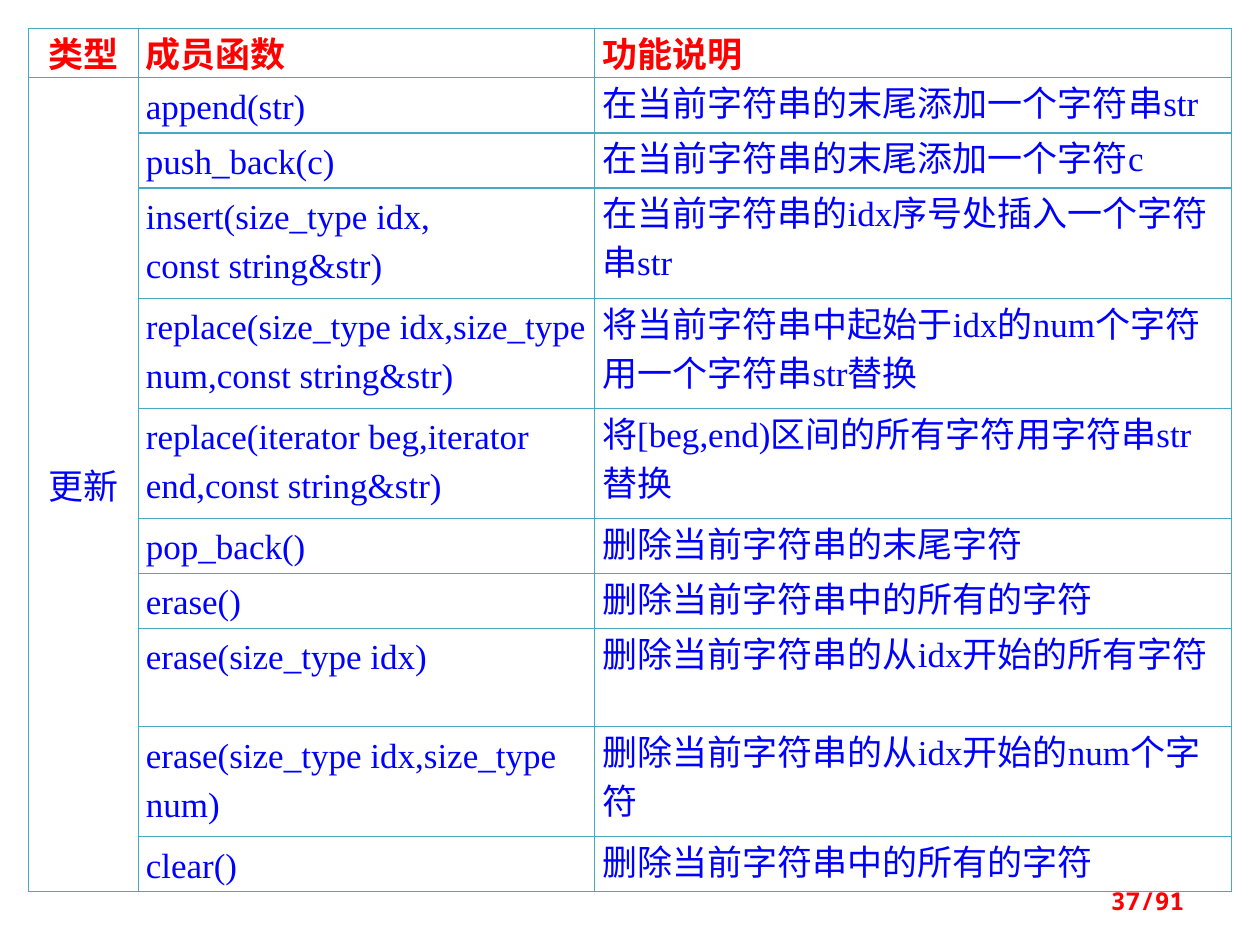
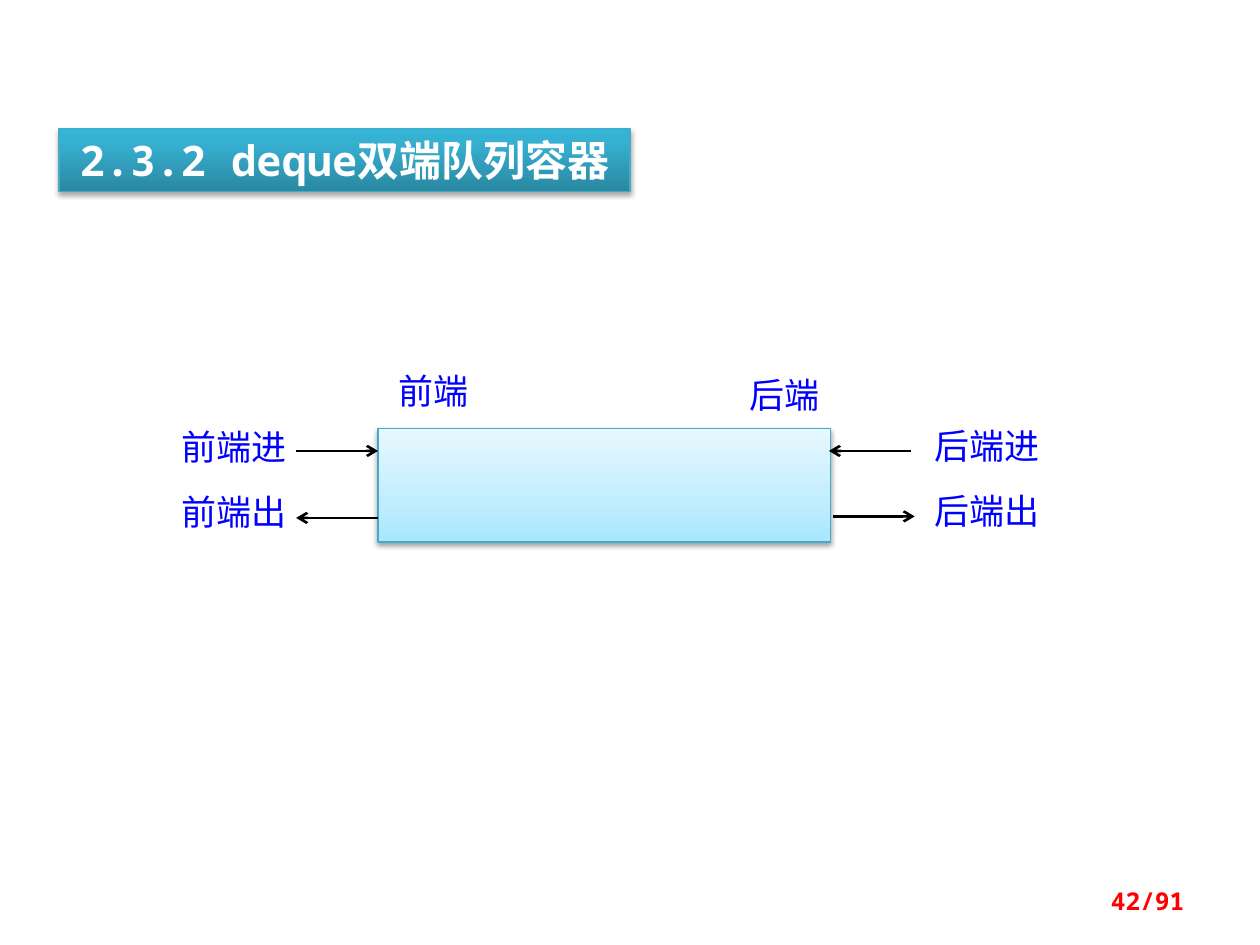
"""Build two slides on string update functions and the deque container."""
from lxml import etree
from pptx import Presentation
from pptx.dml.color import RGBColor
from pptx.enum.shapes import MSO_CONNECTOR, MSO_SHAPE
from pptx.enum.text import MSO_ANCHOR, PP_ALIGN
from pptx.oxml import parse_xml
from pptx.oxml.ns import nsdecls, qn
from pptx.util import Cm, Pt

LEFT, CENTER, RIGHT = PP_ALIGN.LEFT, PP_ALIGN.CENTER, PP_ALIGN.RIGHT
JUSTIFY = PP_ALIGN.JUSTIFY
TOP, MIDDLE = MSO_ANCHOR.TOP, MSO_ANCHOR.MIDDLE
RECT, STRAIGHT = MSO_SHAPE.RECTANGLE, MSO_CONNECTOR.STRAIGHT

SERIF, MONO = "Times New Roman", "Noto Sans Mono"
RED, BLUE, WHITE, BLACK, TEAL = "FF0000", "0000FF", "FFFFFF", "000000", "46AAC5"
TITLE_STOPS = [(0, "2A88A2"), (80, "37B1D2"), (100, "34B4D6")]
QUEUE_STOPS = [(0, "A7E6FF"), (35, "C1EDFF"), (100, "E7F8FF")]
PAGE_TOTAL = 91

HEADERS = ["类型", "成员函数", "功能说明"]
CATEGORY = "更新"
COL_WIDTHS = [2.21, 9.2, 12.83]
HEADER_H, ROW_H = 0.99, 1.11
FUNCTIONS = [
    ("append(str)", "在当前字符串的末尾添加一个字符串str", 1),
    ("push_back(c)", "在当前字符串的末尾添加一个字符c", 1),
    ("insert(size_type idx,\nconst string&str)",
     "在当前字符串的idx序号处插入一个字符串str", 2),
    ("replace(size_type idx,size_type num,const string&str)",
     "将当前字符串中起始于idx的num个字符用一个字符串str替换", 2),
    ("replace(iterator beg,iterator end,const string&str)",
     "将[beg,end)区间的所有字符用字符串str替换", 2),
    ("pop_back()", "删除当前字符串的末尾字符", 1),
    ("erase()", "删除当前字符串中的所有的字符", 1),
    ("erase(size_type idx)", "删除当前字符串的从idx开始的所有字符", 1),
    ("erase(size_type idx,size_type num)",
     "删除当前字符串的从idx开始的num个字符", 2),
    ("clear()", "删除当前字符串中的所有的字符", 1),
]

LABELS = [
    ("前端", 7.54, 7.54, 2.39, 1.09),
    ("后端", 14.78, 7.62, 2.08, 0.91),
    ("前端进", 3.58, 8.66, 2.26, 1.14),
    ("前端出", 3.58, 9.98, 2.26, 1.14),
    ("后端进", 18.77, 8.64, 2.26, 1.14),
    ("后端出", 18.77, 9.96, 2.26, 1.14),
]
ARROWS = [
    (5.97, 7.62, 9.09),
    (7.62, 5.97, 10.44),
    (16.79, 18.44, 10.41),
    (18.36, 16.71, 9.09),
]


def rgb(color):
    """Turn a hex string into a colour."""
    return RGBColor.from_string(color)


def write(tf, text, size=20, font=SERIF, color=BLUE, bold=False, align=LEFT, spacing=None):
    """Write text, one paragraph a line, in one format."""
    for i, line in enumerate(text.split("\n")):
        p = tf.add_paragraph() if i else tf.paragraphs[0]
        p.alignment = align
        p.space_before = Pt(0)
        if spacing:
            p.line_spacing = Pt(spacing)
        r = p.add_run()
        r.text = line
        r.font.size, r.font.name, r.font.bold = Pt(size), font, bold
        r.font.color.rgb = rgb(color)


def style_panel(sp, stops, alpha, distance):
    """Give a shape an upward gradient, a teal line and a soft shadow."""
    sp.line.color.rgb = rgb(TEAL)
    sp.line.width = Pt(0.75)
    sp.fill.background()
    sp_pr = sp._element.spPr
    gs = "".join(f'<a:gs pos="{pos * 1000}"><a:srgbClr val="{color}"/></a:gs>'
                 for pos, color in stops)
    grad = parse_xml(f'<a:gradFill {nsdecls("a")} rotWithShape="1"><a:gsLst>{gs}</a:gsLst>'
                     '<a:lin ang="16200000" scaled="0"/></a:gradFill>')
    sp_pr.replace(sp_pr.find(qn("a:noFill")), grad)
    sp.shadow.inherit = False
    sp_pr.find(qn("a:effectLst")).append(parse_xml(
        f'<a:outerShdw {nsdecls("a")} blurRad="{Pt(3.1)}" dist="{Pt(distance)}" dir="5400000" '
        f'rotWithShape="0"><a:srgbClr val="{BLACK}"><a:alpha val="{alpha * 1000}"/>'
        '</a:srgbClr></a:outerShdw>'))


def add_page_number(slide, number):
    """Put the page count at the lower right."""
    sp = slide.shapes.add_textbox(Cm(18.21), Cm(17.65), Cm(5.92), Cm(1.02))
    tf = sp.text_frame
    tf.word_wrap = True
    tf.vertical_anchor = MIDDLE
    write(tf, f"{number}/{PAGE_TOTAL}", size=14, font=MONO, color=RED, bold=True, align=RIGHT)


def set_title(slide, text):
    """Turn the title placeholder into a gradient band."""
    sp = slide.shapes.title
    sp.left, sp.top, sp.width, sp.height = Cm(1.19), Cm(2.59), Cm(11.51), Cm(1.27)
    style_panel(sp, TITLE_STOPS, alpha=35, distance=1.8)
    tf = sp.text_frame
    tf.word_wrap = False
    tf.vertical_anchor = MIDDLE
    write(tf, text, size=24, font=MONO, color=WHITE, bold=True, align=CENTER)


def fill_cell(cell, text, anchor=TOP, **fmt):
    """Write one white table cell with thin teal borders."""
    cell.margin_left = cell.margin_right = Cm(0.15)
    cell.margin_top = cell.margin_bottom = 0
    cell.vertical_anchor = anchor
    tc_pr = cell._tc.get_or_add_tcPr()
    for side in "LRTB":
        tc_pr.append(parse_xml(
            f'<a:ln{side} {nsdecls("a")} w="{Pt(0.75)}"><a:solidFill>'
            f'<a:srgbClr val="{TEAL}"/></a:solidFill></a:ln{side}>'))
    cell.fill.solid()
    cell.fill.fore_color.rgb = rgb(WHITE)
    if text:
        write(cell.text_frame, text, spacing=28, **fmt)


def add_function_table(slide):
    """Add the table of member functions."""
    heights = [HEADER_H] + [ROW_H * lines for *_, lines in FUNCTIONS]
    frame = slide.shapes.add_table(len(heights), len(COL_WIDTHS), Cm(0.58), Cm(0.58),
                                   Cm(sum(COL_WIDTHS)), Cm(sum(heights)))
    table = frame.table
    table.first_row = table.horz_banding = False
    for col, width in zip(table.columns, COL_WIDTHS):
        col.width = Cm(width)
    for row, height in zip(table.rows, heights):
        row.height = Cm(height)
    for c, text in enumerate(HEADERS):
        fill_cell(table.cell(0, c), text, anchor=TOP if c else MIDDLE,
                  color=RED, bold=True, align=JUSTIFY if c else CENTER)
    for i, (function, meaning, _) in enumerate(FUNCTIONS, 1):
        fill_cell(table.cell(i, 0), CATEGORY if i == 1 else "", anchor=MIDDLE, align=CENTER)
        fill_cell(table.cell(i, 1), function)
        fill_cell(table.cell(i, 2), meaning)
    table.cell(1, 0).merge(table.cell(len(FUNCTIONS), 0))


def add_label(slide, text, x, y, w, h):
    """Add a white box with a centred blue label."""
    sp = slide.shapes.add_shape(RECT, Cm(x), Cm(y), Cm(w), Cm(h))
    sp.shadow.inherit = False
    sp.fill.solid()
    sp.fill.fore_color.rgb = rgb(WHITE)
    sp.line.fill.background()
    tf = sp.text_frame
    tf.margin_left = tf.margin_right = tf.margin_top = tf.margin_bottom = 0
    tf.vertical_anchor = TOP
    write(tf, text, align=CENTER, spacing=21.6)


def add_arrow(slide, x1, x2, y):
    """Add a level black arrow from x1 to x2."""
    line = slide.shapes.add_connector(STRAIGHT, Cm(x1), Cm(y), Cm(x2), Cm(y))
    line.line.color.rgb = rgb(BLACK)
    line.line.width = Pt(1.5)
    etree.SubElement(line.line._get_or_add_ln(), qn("a:tailEnd"), type="arrow")
    etree.SubElement(line._element.spPr, qn("a:effectLst"))


def add_deque_diagram(slide):
    """Draw the queue with its labels and arrows at both ends."""
    for label in LABELS:
        add_label(slide, *label)
    queue = slide.shapes.add_shape(RECT, Cm(7.62), Cm(8.64), Cm(9.12), Cm(2.29))
    style_panel(queue, QUEUE_STOPS, alpha=38, distance=1.6)
    for arrow in ARROWS:
        add_arrow(slide, *arrow)


def main():
    """Build and save both slides."""
    prs = Presentation()
    prs.slide_width, prs.slide_height = Cm(25.4), Cm(19.05)
    title_only, blank = prs.slide_layouts[5], prs.slide_layouts[6]

    slide = prs.slides.add_slide(blank)
    add_function_table(slide)
    add_page_number(slide, 37)

    slide = prs.slides.add_slide(title_only)
    set_title(slide, "2.3.2 deque双端队列容器")
    add_deque_diagram(slide)
    add_page_number(slide, 42)

    prs.save("out.pptx")


if __name__ == "__main__":
    main()
